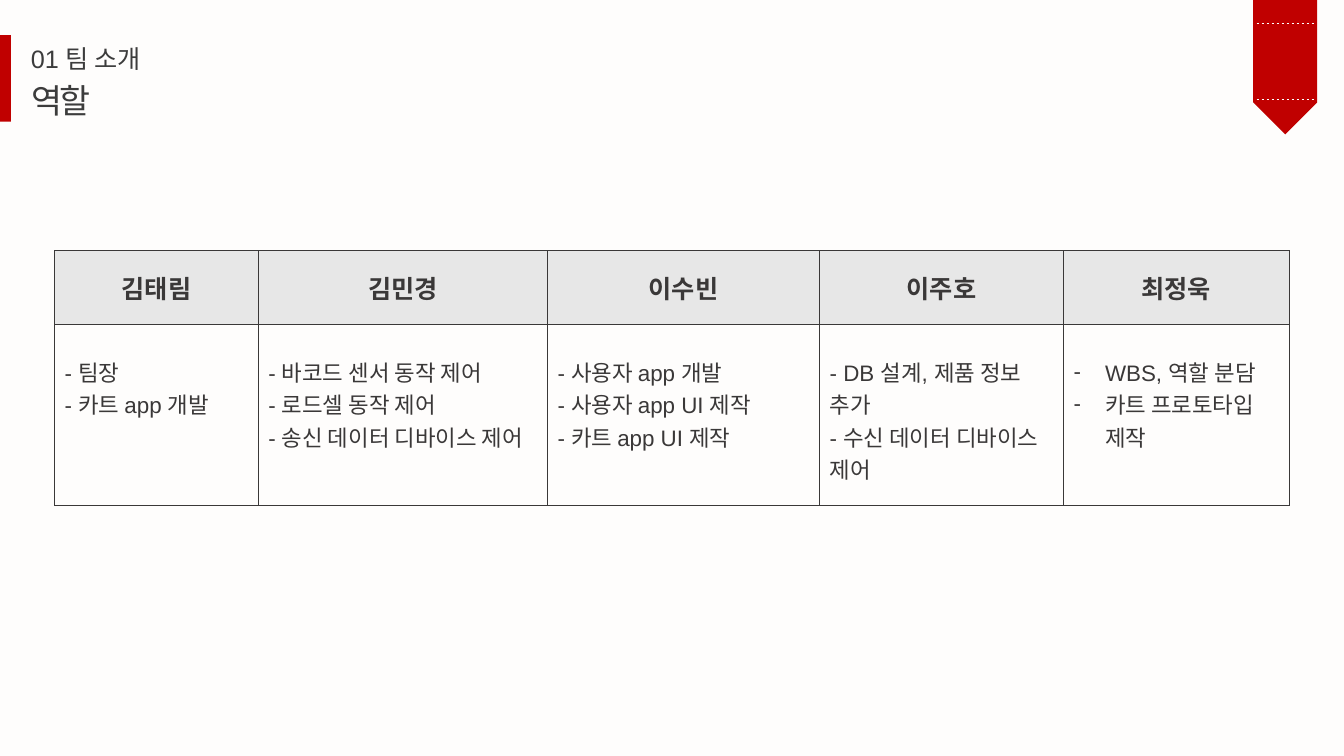
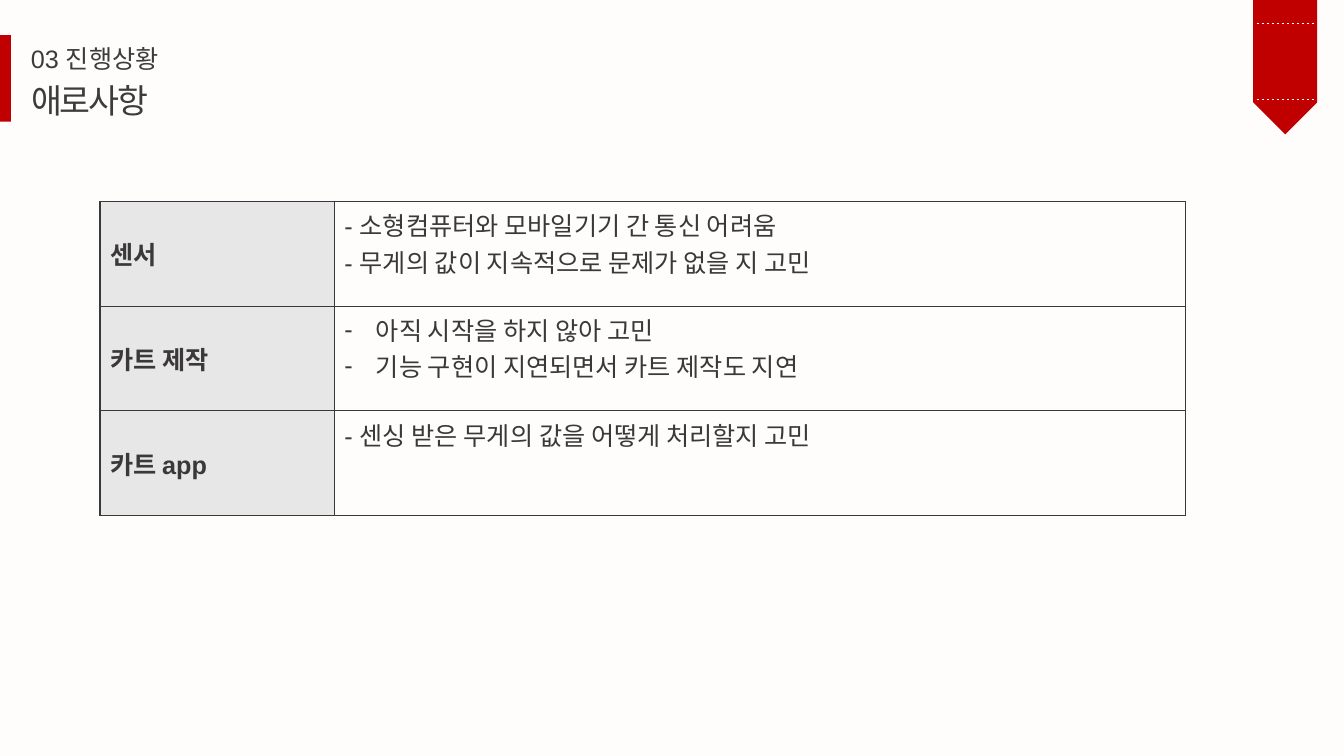
from lxml.etree import SubElement
from pptx import Presentation
from pptx.dml.color import RGBColor
from pptx.enum.dml import MSO_LINE
from pptx.enum.shapes import MSO_CONNECTOR, MSO_SHAPE
from pptx.enum.text import MSO_ANCHOR, MSO_AUTO_SIZE, PP_ALIGN
from pptx.oxml import parse_xml
from pptx.oxml.ns import nsdecls, qn
from pptx.util import Emu, Pt

COLS, ROWS = 160, 90
UNIT = 76200  # one square grid cell, in EMU
HUES = {"page": "FEFDFC", "red": "C00000", "text": "3C3C3C",
        "cell": "3A3838", "head": "D9D9D9", "white": "FFFFFF"}
LATIN, HANGUL = "Arial", "Noto Sans CJK KR"
HANG = 3.75


def grid(*cells):
    """Turn grid cells into EMU lengths."""
    return [Emu(round(cell * UNIT)) for cell in cells]


def hue(name):
    return RGBColor.from_string(HUES[name])


def write(frame, lines, size=18, font=LATIN, color="text", bold=False,
          align=PP_ALIGN.LEFT, track=0, bullet=None):
    """Fill a text frame with one paragraph per line."""
    for i, line in enumerate(lines):
        para = frame.add_paragraph() if i else frame.paragraphs[0]
        para.alignment = align
        if bullet:
            ppr = para._p.get_or_add_pPr()
            hang = grid(HANG)[0]
            ppr.set("marL", str(hang))
            ppr.set("indent", str(-hang))
            SubElement(ppr, qn("a:buFont")).set("typeface", LATIN)
            SubElement(ppr, qn("a:buChar")).set("char", bullet)
        run = para.add_run()
        run.text = line
        run.font.size, run.font.bold, run.font.name = Pt(size), bold, font
        run.font.color.rgb = hue(color)
        rpr = run.font._element
        SubElement(rpr, qn("a:ea")).set("typeface", HANGUL)
        if track:
            rpr.set("spc", str(round(track * 100)))


class Deck:
    def __init__(self):
        self.file = Presentation()
        self.file.slide_width, self.file.slide_height = grid(COLS, ROWS)
        self.slide = None

    def page(self, part, title):
        """Start a slide with its red bar, heading and ribbon."""
        self.slide = self.file.slides.add_slide(self.file.slide_layouts[5])
        fill = self.slide.background.fill
        fill.solid()
        fill.fore_color.rgb = hue("page")
        self.block(self.slide.shapes, MSO_SHAPE.RECTANGLE, 0, 4.2, 1.3, 10.3)
        label = self.slide.shapes.add_textbox(*grid(2.5, 4.6, 60, 4.8))
        self.head(label, part)
        name = self.slide.shapes.title
        name.left, name.top, name.width, name.height = grid(2.5, 8.9, 60, 6)
        self.head(name, title, size=24, font=HANGUL, track=-1.5)
        self.ribbon()

    def head(self, shape, text, **style):
        frame = shape.text_frame
        frame.word_wrap = True
        frame.auto_size = MSO_AUTO_SIZE.NONE
        frame.vertical_anchor = MSO_ANCHOR.TOP
        write(frame, [text], **style)

    def block(self, shapes, kind, *box):
        shape = shapes.add_shape(kind, *grid(*box))
        shape.shadow.inherit = False
        shape.fill.solid()
        shape.fill.fore_color.rgb = hue("red")
        shape.line.fill.background()
        return shape

    def ribbon(self):
        shapes = self.slide.shapes.add_group_shape().shapes
        mid, long, wide = 153, 16, 7.6
        flag = self.block(shapes, MSO_SHAPE.PENTAGON,
                          mid - long / 2, (long - wide) / 2, long, wide)
        flag.rotation = 90
        for y in (11.8, 2.8):
            self.stitch(shapes, mid - 3.4, mid + 3.4, y)

    def stitch(self, shapes, left, right, y):
        line = shapes.add_connector(MSO_CONNECTOR.STRAIGHT,
                                    *grid(left, y, right, y))
        line.line.color.rgb = hue("white")
        line.line.width = Pt(0.5)
        line.line.dash_style = MSO_LINE.DASH
        SubElement(line._element.spPr, qn("a:effectLst"))

    def table(self, left, top, cols, rows):
        """Add a plain table with the given column and row sizes."""
        frame = self.slide.shapes.add_table(
            len(rows), len(cols), *grid(left, top, sum(cols), sum(rows)))
        table = frame.table
        table.first_row = table.horz_banding = False
        for col, wide in zip(table.columns, grid(*cols)):
            col.width = wide
        for row, high in zip(table.rows, grid(*rows)):
            row.height = high
        return table

    def cell(self, cell, lines, head=False, pad=None, **style):
        if head:
            cell.vertical_anchor = MSO_ANCHOR.MIDDLE
            cell.fill.solid()
            cell.fill.fore_color.rgb = hue("head")
        else:
            cell.fill.background()
        if pad:
            cell.margin_top = grid(pad)[0]
        tcpr = cell._tc.get_or_add_tcPr()
        if head:
            tint = tcpr.find(".//" + qn("a:srgbClr"))
            SubElement(tint, qn("a:alpha")).set("val", "60000")
        for i, side in enumerate("LRTB"):
            tcpr.insert(i, parse_xml(
                f'<a:ln{side} {nsdecls("a")} w="12700"><a:solidFill>'
                f'<a:srgbClr val="{HUES["cell"]}"/></a:solidFill></a:ln{side}>'))
        write(cell.text_frame, lines, color="cell", bold=head, **style)


TEAM = [
    ("김태림", 24.24, ["- 팀장", "- 카트 app 개발"], None),
    ("김민경", 34.44, ["- 바코드 센서 동작 제어", "- 로드셀 동작 제어",
                    "- 송신 데이터 디바이스 제어"], None),
    ("이수빈", 32.4, ["- 사용자 app 개발", "- 사용자 app UI 제작",
                   "- 카트 app UI 제작"], None),
    ("이주호", 29.04, ["- DB 설계, 제품 정보 추가",
                    "- 수신 데이터 디바이스 제어"], None),
    ("최정욱", 26.88, ["WBS, 역할 분담", "카트 프로토타입 제작"], "-"),
]
ISSUES = [
    ("센서", ["- 소형컴퓨터와 모바일기기 간 통신 어려움",
            "- 무게의 값이 지속적으로 문제가 없을 지 고민"], None),
    ("카트 제작", ["아직 시작을 하지 않아 고민",
               "기능 구현이 지연되면서 카트 제작도 지연"], "-"),
    ("카트 app", ["- 센싱 받은 무게의 값을 어떻게 처리할지 고민"], None),
]


def roles(deck):
    deck.page("01 팀 소개", "역할")
    table = deck.table(6.5, 29.85, [who[1] for who in TEAM], [8.8, 21.5])
    for i, (name, _, tasks, bullet) in enumerate(TEAM):
        deck.cell(table.cell(0, i), [name], head=True, align=PP_ALIGN.CENTER)
        deck.cell(table.cell(1, i), tasks, pad=3.7, size=16, bullet=bullet)


def issues(deck):
    deck.page("03 진행상황", "애로사항")
    table = deck.table(11.9, 24, [27.9, 101.3], [12.45] * len(ISSUES))
    for i, (topic, notes, bullet) in enumerate(ISSUES):
        deck.cell(table.cell(i, 0), [topic], head=True)
        deck.cell(table.cell(i, 1), notes, bullet=bullet)


def main():
    deck = Deck()
    roles(deck)
    issues(deck)
    deck.file.save("out.pptx")


if __name__ == "__main__":
    main()
